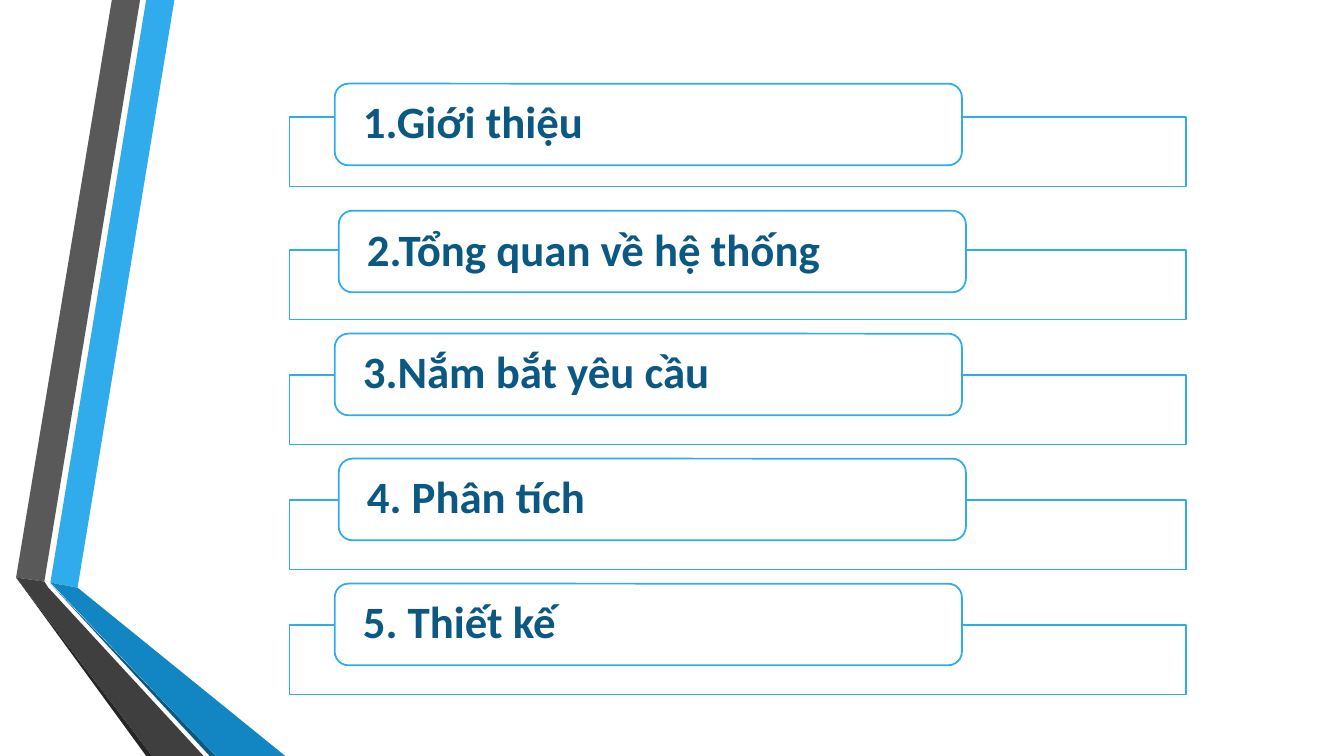
from lxml import etree
from pptx import Presentation
from pptx.dml.color import RGBColor
from pptx.enum.shapes import MSO_SHAPE
from pptx.enum.text import MSO_ANCHOR, PP_ALIGN
from pptx.oxml.ns import qn
from pptx.util import Inches, Pt

RECT = MSO_SHAPE.RECTANGLE
ROUNDED = MSO_SHAPE.ROUNDED_RECTANGLE
MIDDLE = MSO_ANCHOR.MIDDLE
LEFT = PP_ALIGN.LEFT

COLORS = {
    "white": "FFFFFF",
    "sky": "30ACEC",
    "bar_line": "2FACEA",
    "blue": "1186C3",
    "navy": "0B5982",
    "gray": "595959",
    "charcoal": "3F3F3F",
    "black": "262626",
}

# Colour and corners of each band, from back to front
RIBBON = [
    ("sky", [(0.5, 5.78), (0.77, 5.83), (1.73, 0), (1.45, 0)]),
    ("gray", [(1.39, 0), (1.11, 0), (0.16, 5.73), (0.44, 5.77)]),
    ("black", [(0.16, 5.73), (1.45, 7.5), (1.51, 7.5)]),
    ("navy", [(0.5, 5.79), (2.08, 7.5), (2.14, 7.5)]),
    ("blue", [(0.5, 5.78), (2.14, 7.5), (2.83, 7.5), (0.77, 5.83)]),
    ("charcoal", [(2.02, 7.5), (0.48, 5.83), (0.44, 5.77), (0.16, 5.73), (1.51, 7.5)]),
]

# Heading, bar shift, card shift right, card shift down
AGENDA = [
    ("1.Giới thiệu", -0.08, 0, 0),
    ("2.Tổng quan về hệ thống", 0, 0.04, 0.02),
    ("3.Nắm bắt yêu cầu", 0, 0, 0),
    ("4. Phân tích", 0, 0.04, 0),
    ("5. Thiết kế", 0, 0, 0),
]
ROW_PITCH = 1.24
BAR_DROP = 0.41
BAR_HEIGHT = 0.69
CARD_INDENT = 0.45
CARD_WIDTH, CARD_HEIGHT = 6.22, 0.81


def color(name):
    return RGBColor.from_string(COLORS[name])


def fill_shape(shape, name):
    shape.shadow.inherit = False
    shape.fill.solid()
    shape.fill.fore_color.rgb = color(name)


def add_outlined(slide, kind, left, top, width, height, line):
    shape = slide.shapes.add_shape(
        kind, Inches(left), Inches(top), Inches(width), Inches(height))
    fill_shape(shape, "white")
    shape.line.color.rgb = color(line)
    shape.line.width = Pt(1.25)
    return shape


def add_ribbon(slide, left, top):
    for name, corners in RIBBON:
        points = [(Inches(left + x), Inches(top + y)) for x, y in corners]
        outline = slide.shapes.build_freeform(*points[0])
        outline.add_line_segments(points[1:], close=True)
        band = outline.convert_to_shape()
        fill_shape(band, name)
        band.line.fill.background()


def add_bar(slide, left, top, width):
    bar = add_outlined(slide, RECT, left, top, width, BAR_HEIGHT, "bar_line")
    white = bar.fill._xPr.find(qn("a:solidFill"))[0]
    etree.SubElement(white, qn("a:alpha"), val="90000")


def add_card(slide, left, top, heading):
    card = add_outlined(slide, ROUNDED, left, top, CARD_WIDTH, CARD_HEIGHT, "sky")
    card.adjustments[0] = 0.167
    frame = card.text_frame
    frame.word_wrap = True
    frame.vertical_anchor = MIDDLE
    # The rounded corners already inset the text by 0.04 inches
    frame.margin_left = frame.margin_right = Inches(0.24)
    frame.margin_top = frame.margin_bottom = 0
    paragraph = frame.paragraphs[0]
    paragraph.alignment = LEFT
    paragraph.line_spacing = 0.9
    run = paragraph.add_run()
    run.text = heading
    run.font.name = "Calibri"
    run.font.size = Pt(32)
    run.font.bold = True
    run.font.color.rgb = color("navy")


def add_agenda(slide, left, top, width):
    for row, (heading, bar_shift, card_right, card_down) in enumerate(AGENDA):
        row_top = top + row * ROW_PITCH
        add_bar(slide, left, row_top + BAR_DROP + bar_shift, width)
        add_card(slide, left + CARD_INDENT + card_right, row_top + card_down, heading)


def main():
    deck = Presentation()
    deck.slide_width, deck.slide_height = Inches(13.33), Inches(7.5)
    slide = deck.slides.add_slide(deck.slide_layouts[6])
    add_ribbon(slide, 0, 0)
    add_agenda(slide, 2.87, 0.83, 8.89)
    deck.save("out.pptx")


if __name__ == "__main__":
    main()
